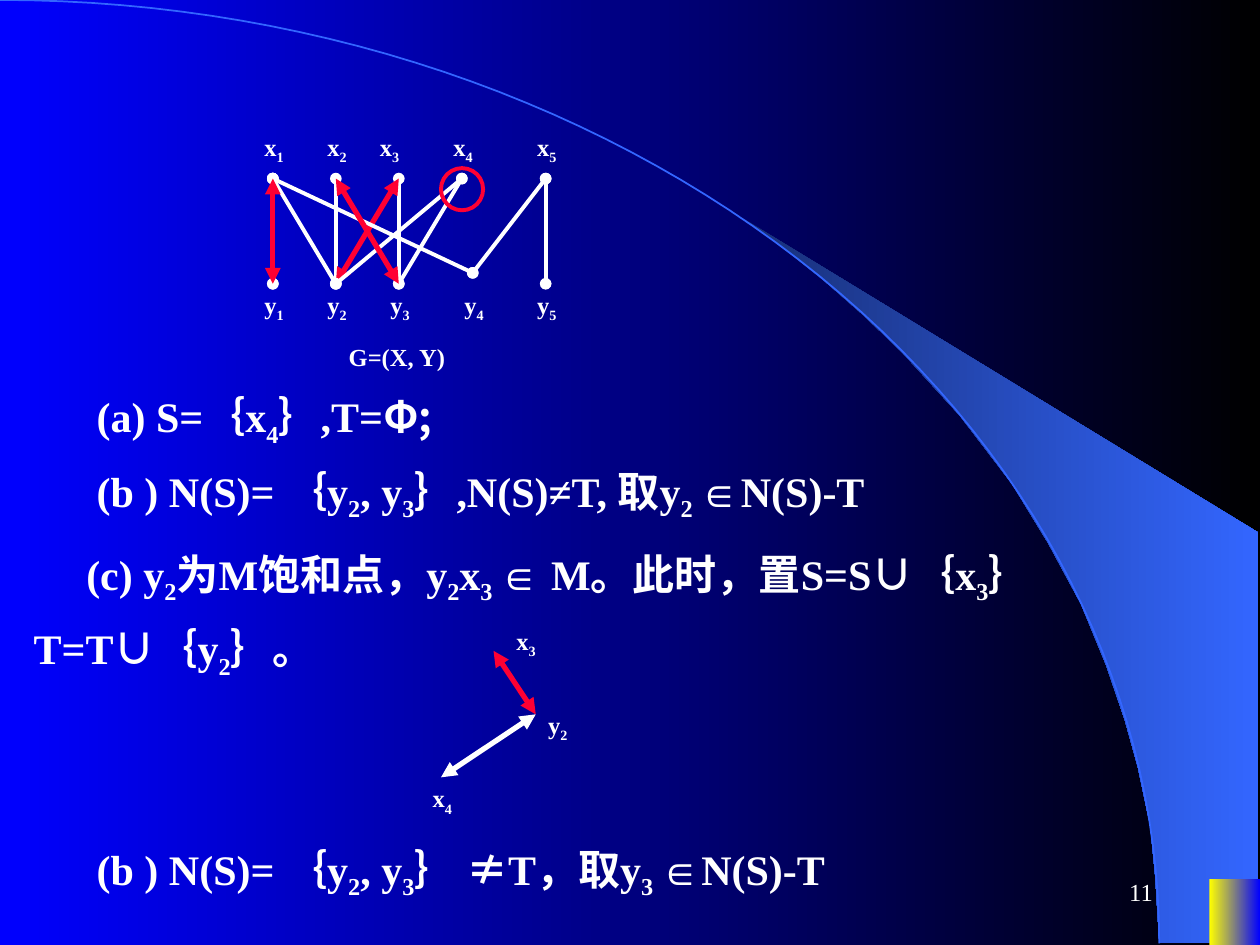
"""Build the slide that grows an alternating tree in a bipartite graph."""
from dataclasses import dataclass
from itertools import groupby
from math import cos, pi, sin

from lxml.etree import SubElement
from pptx import Presentation
from pptx.dml.color import RGBColor
from pptx.enum.shapes import MSO_CONNECTOR as Connector, MSO_SHAPE as Shape
from pptx.enum.text import MSO_ANCHOR as Anchor, MSO_AUTO_SIZE as AutoSize, PP_ALIGN as Align
from pptx.oxml.ns import qn
from pptx.util import Cm, Pt


@dataclass(frozen=True)
class Theme:
    white: RGBColor = RGBColor(255, 255, 255)
    red: RGBColor = RGBColor(255, 0, 51)
    blue: RGBColor = RGBColor(0, 0, 255)
    black: RGBColor = RGBColor(0, 0, 0)
    sky: RGBColor = RGBColor(51, 102, 255)
    navy: RGBColor = RGBColor(24, 47, 118)
    yellow: RGBColor = RGBColor(255, 255, 0)
    body: Pt = Pt(24)
    small: Pt = Pt(14)
    latin: str = "Times New Roman"
    asian: str = "Noto Sans CJK SC"


theme = Theme()
deck = Presentation()
deck.slide_width, deck.slide_height = Cm(25.4), Cm(19.05)
page = deck.slides.add_slide(deck.slide_layouts[6])
shapes = page.shapes


def write(text, left, top, width, height, size, bold=True, indent=0, anchor=Anchor.TOP):
    """Add a text box; text between tildes is set as a subscript."""
    box = shapes.add_textbox(Cm(left), Cm(top), Cm(width), Cm(height))
    frame = box.text_frame
    frame.word_wrap = True
    frame.auto_size = AutoSize.SHAPE_TO_FIT_TEXT
    frame.vertical_anchor = anchor
    para = frame.paragraphs[0]
    para._p.get_or_add_pPr().set("indent", str(Cm(indent)))
    for index, part in enumerate(text.split("~")):
        for symbol, letters in groupby(part, lambda letter: letter in "∪Φ;"):
            span = para.add_run()
            span.text = "".join(letters)
            span.font.size, span.font.bold = size, bold
            span.font.color.rgb = theme.white
            span.font.name = theme.asian if symbol else theme.latin
            SubElement(span.font._element, qn("a:ea"), typeface=theme.asian)
            if index % 2:
                span.font._element.set("baseline", "-25000")
    return para


def connect(start, end, color, weight, tip):
    """Draw a line between two points with the same tip at both ends."""
    line = shapes.add_connector(Connector.STRAIGHT, *map(Cm, start + end))
    line.line.color.rgb, line.line.width = color, Pt(weight)
    outline = line.line._get_or_add_ln()
    for side in ("a:headEnd", "a:tailEnd"):
        SubElement(outline, qn(side), type=tip)
    SubElement(line._element.spPr, qn("a:effectLst"))


swoosh_points = [
    (23.37, 19), (25.37, 19.02), (25.37, 10.74), (14.96, 4.39), (15.85, 5.05),
    (16.59, 5.64), (17.4, 6.35), (18.19, 7.11), (19.35, 8.38), (20.4, 9.75),
    (21.13, 10.95), (21.79, 12.17), (22.3, 13.41), (22.68, 14.53),
    (22.94, 15.47), (23.19, 16.66), (23.29, 17.68),
]
builder = shapes.build_freeform(*map(Cm, swoosh_points[0]))
builder.add_line_segments([(Cm(x), Cm(y)) for x, y in swoosh_points[1:]])
swoosh = builder.convert_to_shape()

arc_steps = 60
angles = [pi / 2 * step / arc_steps for step in range(1, arc_steps + 1)]
builder = shapes.build_freeform(0, 0)
builder.add_line_segments(
    [(Cm(23.37 * sin(angle)), Cm(19.02 * (1 - cos(angle)))) for angle in angles], close=False)
arc = builder.convert_to_shape()
arc.shadow.inherit = False
arc.fill.background()
arc.line.color.rgb, arc.line.width = theme.sky, Pt(1)

corner = shapes.add_shape(Shape.RECTANGLE, Cm(24.38), Cm(17.73), Cm(1.02), Cm(1.32))
for shape in (swoosh, corner):
    shape.shadow.inherit = False
    shape.line.fill.background()
for fill, colors in (
    (page.background.fill, (theme.blue, theme.black)),
    (swoosh.fill, (theme.navy, theme.sky)),
    (corner.fill, (theme.yellow, theme.blue)),
):
    fill.gradient()
    fill.gradient_angle = 0
    for stop, color in zip(fill.gradient_stops, colors):
        stop.color.rgb = color

number = write("11", 18.21, 17.35, 5.28, 1.27, theme.small, bold=False, anchor=Anchor.MIDDLE)
number.alignment = Align.RIGHT

nodes = {
    "x1": (5.5, 3.6), "x2": (6.77, 3.6), "x3": (8.04, 3.6), "x4": (9.31, 3.6), "x5": (11, 3.6),
    "y1": (5.5, 5.72), "y2": (6.77, 5.72), "y3": (8.04, 5.72), "y4": (9.53, 5.5), "y5": (11, 5.72),
}
matching = ("y2 x3", "x2 y3", "x1 y1")
edges = ("x1 y1", "x2 y2", "x3 y3", "x5 y5", "x1 y2", "y2 x3", "x5 y4",
         "x1 y4", "x4 y3", "x4 y2", "x2 y3")
for edge in edges + matching[2:]:
    start, end = (nodes[name] for name in edge.split())
    if edge in matching and edge != edges[0]:
        connect(start, end, theme.red, 3, "triangle")
    else:
        connect(start, end, theme.white, 2.25, "oval")
connect(nodes["x1"], nodes["y1"], theme.red, 3, "triangle")

for name, (x, y) in nodes.items():
    shift = 0.63 if name == "x3" else 0.42
    top = 2.54 if name[0] == "x" else 5.72
    write(f"{name[0]}~{name[1]}~", x - shift, top, 1.09, 0.94, theme.small)
write("G=(X, Y)", 6.78, 6.78, 2.8, 0.86, theme.small)

ring = shapes.add_shape(Shape.OVAL, Cm(8.89), Cm(3.39), Cm(0.85), Cm(0.85))
ring.shadow.inherit = False
ring.fill.background()
ring.line.color.rgb, ring.line.width = theme.red, Pt(2.25)

steps = (
    ("(a) S=｛x~4~｝,T=Φ;", 0.64, 7.75, 1.06),
    ("(b ) N(S)= ｛y~2~, y~3~｝,N(S)≠T, 取y~2 ~∈N(S)-T", 0.64, 9.25, 1.06),
    ("(c) y~2~为M饱和点，y~2~x~3 ~∈ M。此时，置S=S∪｛x~3~｝", 0.43, 10.92, 1.06),
    ("T=T∪｛y~2~｝。", 0.43, 12.42, 0),
    ("(b ) N(S)= ｛y~2~, y~3~｝ ≠T，取y~3 ~∈N(S)-T", 0.64, 16.87, 1.06),
)
for text, left, top, indent in steps:
    write(text, left, top, 23.7, 1.42, theme.body, indent=indent, anchor=Anchor.MIDDLE)

tree_root, tree_middle, tree_leaf = (8.89, 15.67), (10.8, 14.4), (9.95, 13.12)
connect(tree_root, tree_middle, theme.white, 3, "triangle")
connect(tree_middle, tree_leaf, theme.red, 3, "triangle")
for text, left, top in (("x~4~", 8.47, 15.67), ("y~2~", 10.8, 14.18), ("x~3~", 10.16, 12.49)):
    write(text, left, top, 1.52, 0.94, theme.small)

deck.save("out.pptx")
